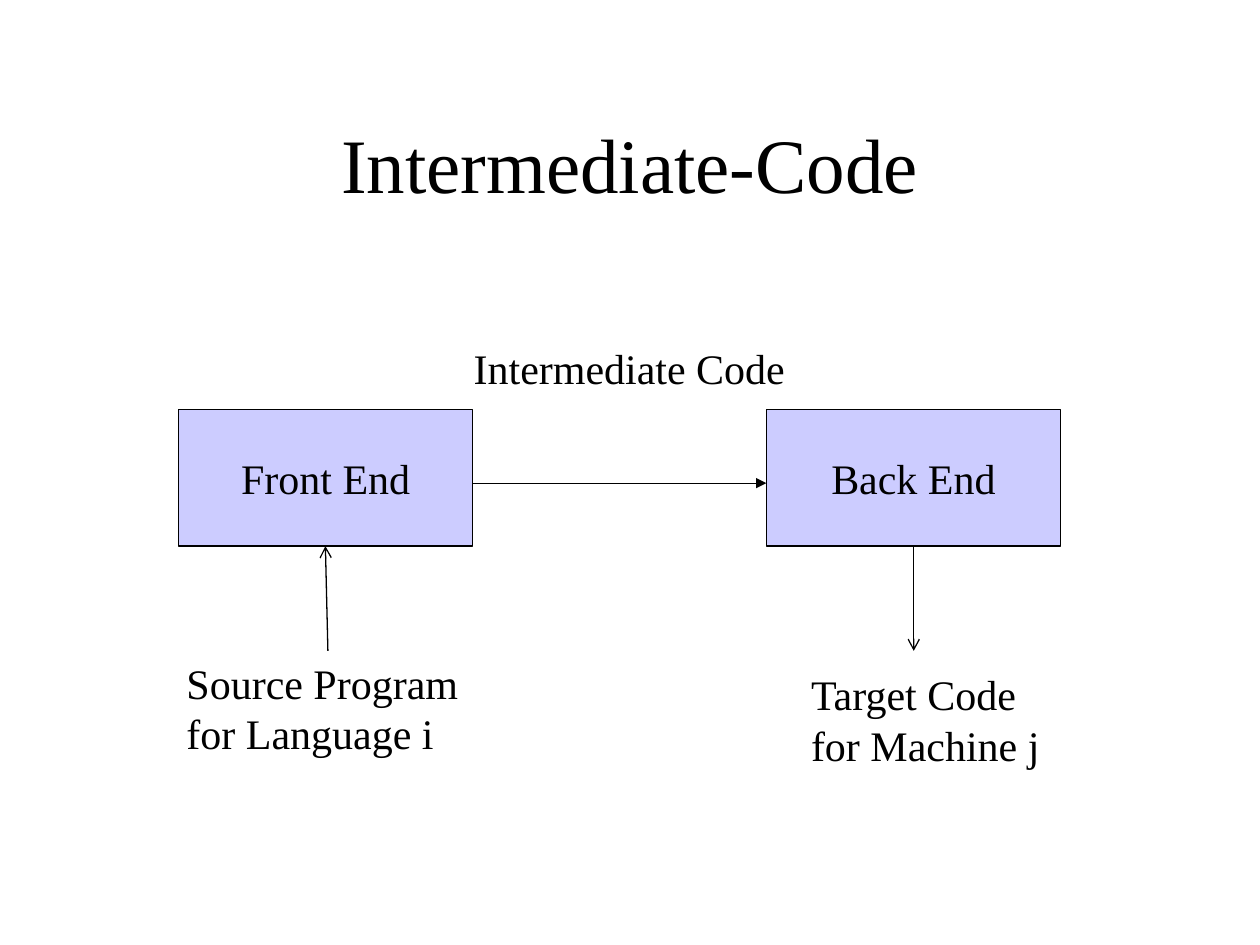
from dataclasses import dataclass

from lxml import etree
from pptx import Presentation
from pptx.dml.color import RGBColor
from pptx.enum.shapes import MSO_CONNECTOR, MSO_SHAPE
from pptx.enum.text import MSO_ANCHOR, PP_ALIGN
from pptx.oxml.ns import qn
from pptx.util import Cm, Pt

RECTANGLE = MSO_SHAPE.RECTANGLE
STRAIGHT = MSO_CONNECTOR.STRAIGHT
TOP, MIDDLE = MSO_ANCHOR.TOP, MSO_ANCHOR.MIDDLE
LEFT, CENTER = PP_ALIGN.LEFT, PP_ALIGN.CENTER

FONT = "Times New Roman"
BLACK = "000000"
LAVENDER = "CCCCFF"
LINE_WIDTH = Pt(0.75)

STAGE_TOP, STAGE_WIDTH, STAGE_HEIGHT = 8.26, 5.93, 2.75
FRONT_LEFT, BACK_LEFT = 3.6, 15.45
STAGE_BOTTOM = STAGE_TOP + STAGE_HEIGHT
FLOW_Y = 9.74
ARROW_END_Y = 13.12


@dataclass
class Label:
    """A piece of text; the lengths are in centimetres."""
    lines: tuple[str, ...]
    left: float
    top: float
    width: float
    height: float
    size: int = 24
    align: PP_ALIGN = LEFT
    anchor: MSO_ANCHOR = TOP


@dataclass
class Arrow:
    """An arrow from start to end, in centimetres."""
    start: tuple[float, float]
    end: tuple[float, float]
    head: str


def stage(name: str, left: float) -> Label:
    return Label((name,), left, STAGE_TOP, STAGE_WIDTH, STAGE_HEIGHT,
                 align=CENTER, anchor=MIDDLE)


STAGES = [stage("Front End", FRONT_LEFT), stage("Back End", BACK_LEFT)]
LABELS = [
    Label(("Intermediate-Code",), 1.9, 1.7, 21.6, 3.18, 44, CENTER, MIDDLE),
    Label(("Intermediate Code",), 9.3, 6.78, 6.78, 1.27),
    Label(("Source Program", "for Language i"), 3.51, 13.12, 6.2, 2.29),
    Label(("Target Code", "for Machine j"), 16.1, 13.36, 5.11, 2.29),
]
ARROWS = [
    Arrow((FRONT_LEFT + STAGE_WIDTH, FLOW_Y), (BACK_LEFT, FLOW_Y), "triangle"),
    Arrow((6.61, ARROW_END_Y), (6.56, STAGE_BOTTOM), "arrow"),
    Arrow((18.42, STAGE_BOTTOM), (18.42, ARROW_END_Y), "arrow"),
]


def color(value: str) -> RGBColor:
    return RGBColor.from_string(value)


def write_text(shape, label: Label) -> None:
    frame = shape.text_frame
    frame.word_wrap = False
    frame.vertical_anchor = label.anchor
    frame.text = "\n".join(label.lines)
    for paragraph in frame.paragraphs:
        paragraph.alignment = label.align
        paragraph.font.name = FONT
        paragraph.font.size = Pt(label.size)
        paragraph.font.color.rgb = color(BLACK)


def bounds(label: Label) -> list[Cm]:
    return [Cm(n) for n in (label.left, label.top, label.width, label.height)]


def add_label(page, label: Label) -> None:
    write_text(page.shapes.add_textbox(*bounds(label)), label)


def add_stage(page, label: Label) -> None:
    box = page.shapes.add_shape(RECTANGLE, *bounds(label))
    box.shadow.inherit = False
    box.fill.solid()
    box.fill.fore_color.rgb = color(LAVENDER)
    box.line.color.rgb = color(BLACK)
    box.line.width = LINE_WIDTH
    write_text(box, label)


def add_arrow(page, arrow: Arrow) -> None:
    ends = [Cm(n) for n in (*arrow.start, *arrow.end)]
    connector = page.shapes.add_connector(STRAIGHT, *ends)
    connector.line.color.rgb = color(BLACK)
    connector.line.width = LINE_WIDTH
    outline = connector.line._get_or_add_ln()
    etree.SubElement(outline, qn("a:tailEnd"), type=arrow.head)
    etree.SubElement(connector._element.spPr, qn("a:effectLst"))


def main() -> None:
    deck = Presentation()
    deck.slide_width, deck.slide_height = Cm(25.4), Cm(19.05)
    page = deck.slides.add_slide(deck.slide_layouts[6])
    for label in STAGES:
        add_stage(page, label)
    for arrow in ARROWS:
        add_arrow(page, arrow)
    for label in LABELS:
        add_label(page, label)
    deck.save("out.pptx")


if __name__ == "__main__":
    main()
